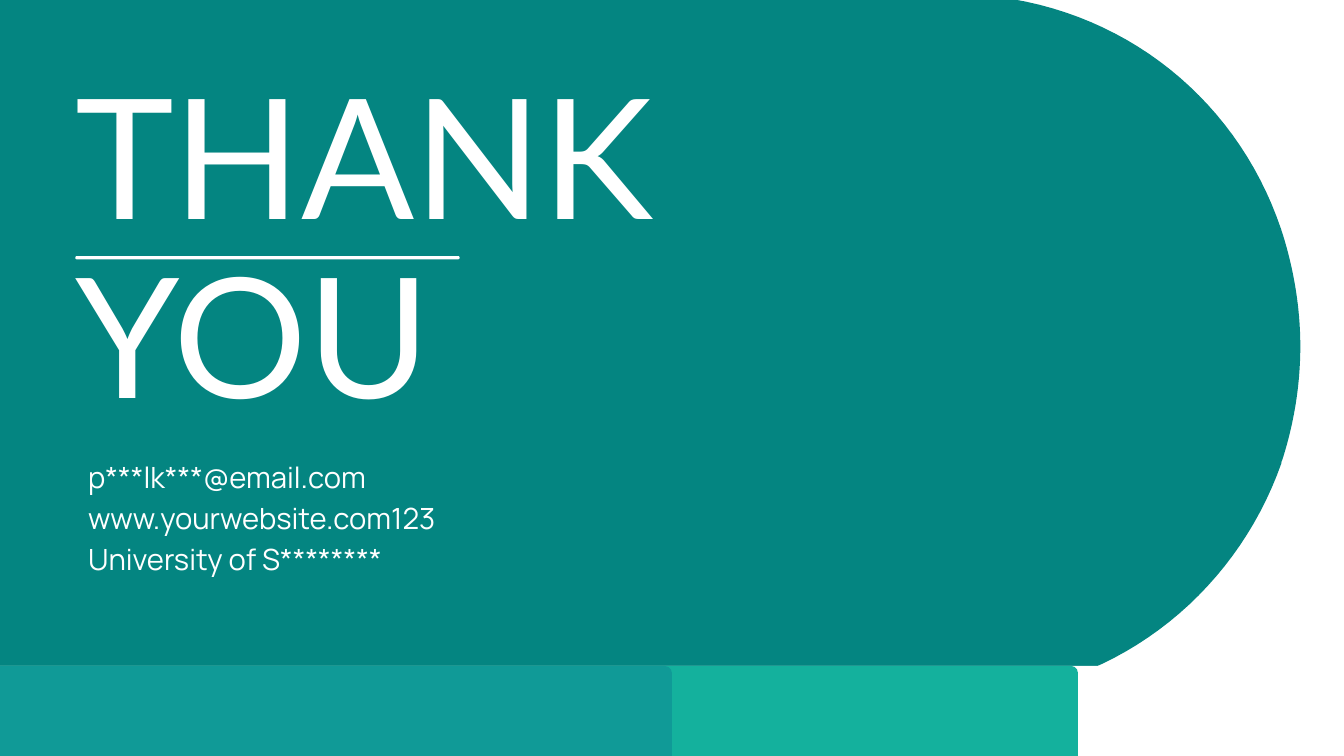
from pptx import Presentation
from pptx.dml.color import RGBColor
from pptx.enum import shapes, text
from pptx.util import Inches, Pt

WHITE = RGBColor(0xFF, 0xFF, 0xFF)
TEAL = RGBColor(0x04, 0x85, 0x81)
GREEN = RGBColor(0x14, 0xB1, 0x9D)
BLUE = RGBColor(0x10, 0x9A, 0x97)
STEPS = 32


def paint(shape, color):
    shape.shadow.inherit = False
    shape.fill.solid()
    shape.fill.fore_color.rgb = color
    shape.line.fill.background()


def write(box, lines, font, size, pitch, align):
    """Add a text box with one paragraph per line, pitch points apart."""
    frame = slide.shapes.add_textbox(*map(Inches, box)).text_frame
    frame.word_wrap = True
    frame.auto_size = text.MSO_AUTO_SIZE.SHAPE_TO_FIT_TEXT
    frame.margin_left = frame.margin_right = 0
    frame.margin_top = frame.margin_bottom = 0
    frame.text = "\n".join(lines)
    for para in frame.paragraphs:
        para.alignment = align
        para.line_spacing = Pt(pitch)
        para.font.name = font
        para.font.size = Pt(size)
        para.font.color.rgb = WHITE


prs = Presentation()
prs.slide_width, prs.slide_height = Inches(20), Inches(11.25)
slide = prs.slides.add_slide(prs.slide_layouts[6])

# Teal panel with a round right end: Bezier curves traced as short lines
curves = [
    [(14.21, -0.09), (16.54, -0.06), (18.38, 1.39), (19.06, 3.4)],
    [(19.06, 3.4), (19.24, 3.94), (19.35, 4.55), (19.35, 5.15)],
    [(19.35, 5.15), (19.35, 5.75), (19.25, 6.32), (19.08, 6.85)],
    [(19.08, 6.85), (19.07, 6.86), (19.07, 6.87), (19.07, 6.89)],
    [(19.07, 6.89), (18.37, 8.88), (16.53, 10.35), (14.22, 10.38)],
]
points = [(14.21, -0.09)]
for curve in curves:
    for step in range(1, STEPS + 1):
        t = step / STEPS
        mix = [(1 - t) ** 3, 3 * t * (1 - t) ** 2, 3 * t * t * (1 - t), t ** 3]
        points.append([sum(m * p[axis] for m, p in zip(mix, curve))
                       for axis in (0, 1)])
points.append((0, 10.38))
path = slide.shapes.build_freeform(0, Inches(-0.09))
path.add_line_segments([(Inches(x), Inches(y)) for x, y in points])
paint(path.convert_to_shape(), TEAL)

# Rounded bands along the foot, then the rule under the first title line
bars = [
    (-0.83, 9.91, 20.83, 3.38, 0.09, WHITE),
    (-1.37, 9.91, 17.41, 3.38, 0.1, GREEN),
    (-5.88, 9.91, 15.88, 3.38, 0.11, BLUE),
    (1.12, 3.81, 5.72, 0.05, 0.025, WHITE),
]
for left, top, width, height, radius, color in bars:
    bar = slide.shapes.add_shape(
        shapes.MSO_SHAPE.ROUNDED_RECTANGLE,
        Inches(left), Inches(top), Inches(width), Inches(height))
    bar.adjustments[0] = radius / height
    paint(bar, color)

write((1.12, 1.1, 12.04, 2.74), ["THANK YOU"],
      "Lato", 179.3, 191.9, text.PP_ALIGN.LEFT)
write((1.31, 6.75, 6.39, 1.82),
      ["p***lk***@email.com", "www.yourwebsite.com123",
       "University of S********"],
      "Manrope", 31.3, 43.8, text.PP_ALIGN.JUSTIFY)

prs.save("out.pptx")
